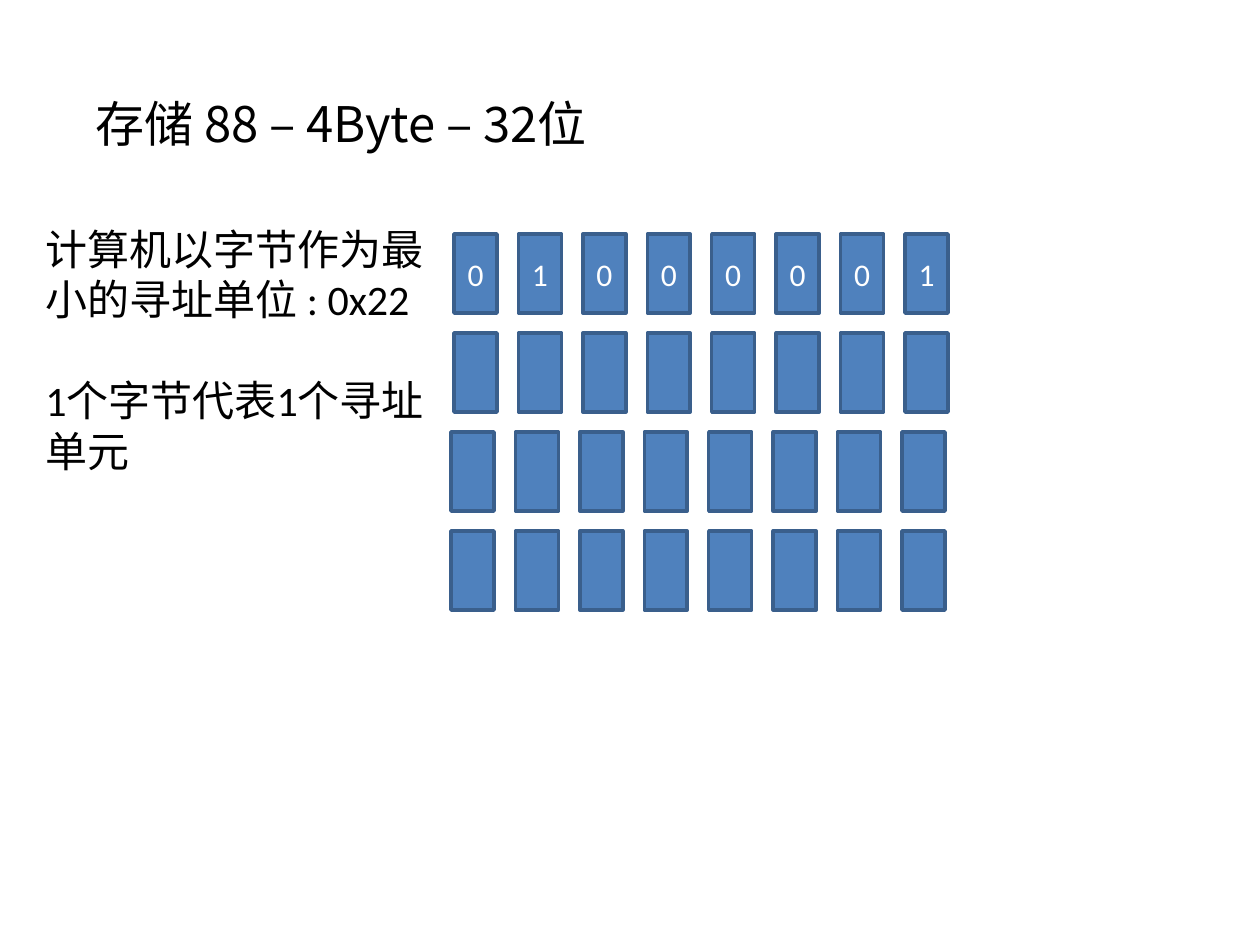
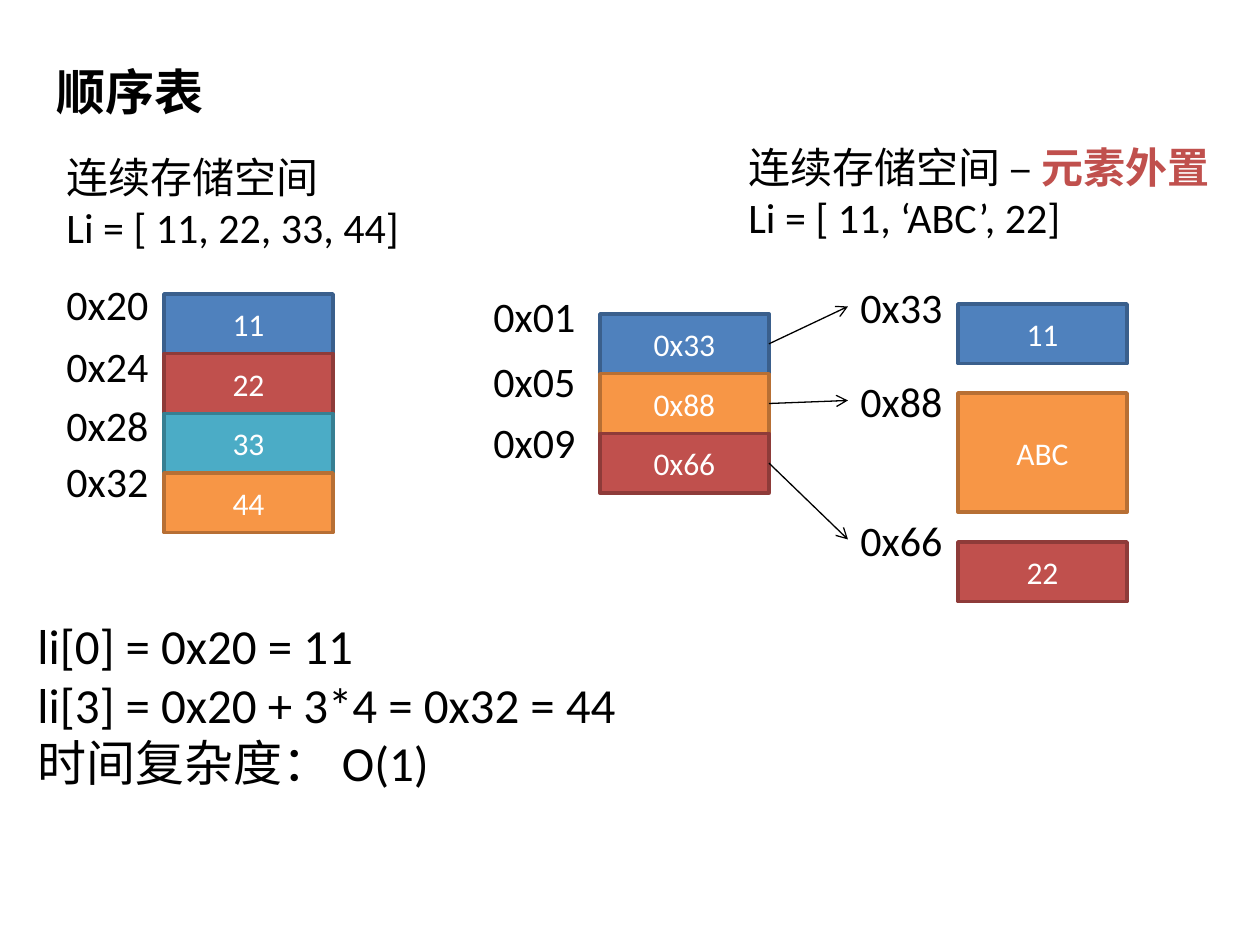
"""Build two slides on byte addressing and sequential lists."""
from dataclasses import dataclass

from lxml import etree
from pptx import Presentation
from pptx import util as u
from pptx.dml.color import RGBColor
from pptx.enum import shapes, text
from pptx.oxml import ns


@dataclass(frozen=True)
class Theme:
    latin: str = "Calibri"
    cjk: str = "Noto Sans CJK SC"
    ink: str = "000000"
    paper: str = "FFFFFF"
    blue: tuple = ("4F81BD", "3A5F8C")
    red: tuple = ("C0504D", "8E3B39")
    teal: tuple = ("4BACC6", "377F92")
    orange: tuple = ("F79646", "B76F34")
    title: int = 28
    body: int = 24
    cell: int = 18
    border: float = 2
    arrow: float = 0.75


T = Theme()
PX = u.Inches(1) / 126
SLIDE = (1260, 945)

BYTE_TITLE = ("存储 88 – 4Byte – 32位", (83, 87, 543, 72))
BYTE_NOTES = (["计算机以字节作为最小的寻址单位 : 0x22", "1个字节代表1个寻址单元"],
              (33, 217, 421, 267))
BITS = ["01000001", "", "", ""]
BIT_LEFTS = [454, 454, 451, 451]
BIT_TOP, BIT_PITCH, BIT_SPAN, BIT_SIZE = 234, 99, 451, (43, 79)

LIST_TITLE = ("顺序表", (44, 55, 174, 72))
LIST_HEADS = [
    (["连续存储空间", "Li = [ 11, 22, 33, 44]"], (54, 145, 360, 115)),
    ([[("连续存储空间 – ", {}), ("元素外置", {"color": T.red[0], "bold": True})],
      "Li = [ 11, ‘ABC’, 22]"], (736, 135, 490, 115)),
]
LIST_NOTES = (["li[0] = 0x20 = 11", "li[3] = 0x20 + 3*4 = 0x32 = 44",
               "时间复杂度： O(1)"], (25, 609, 612, 190))

CELL_W, CELL_H = 169, 179 / 3
LABEL_SIZE = (108, 63)
INLINE = {"left": 164, "top": 294, "label_left": 54, "cells": [
    ("0x20", 272, "11", T.blue), ("0x24", 334, "22", T.red),
    ("0x28", 393, "33", T.teal), ("0x32", 449, "44", T.orange)]}
POINTERS = {"left": 600, "top": 314, "label_left": 481, "cells": [
    ("0x01", 284, "0x33", T.blue), ("0x05", 349, "0x88", T.orange),
    ("0x09", 410, "0x66", T.red)]}
TARGET_LEFT, TARGET_LABEL_LEFT = 958, 848
TARGETS = [("0x33", 275, "11", T.blue, 304, 1),
           ("0x88", 369, "ABC", T.orange, 393, 2),
           ("0x66", 508, "22", T.red, 542, 1)]


def emu(*lengths):
    return [round(n * PX) for n in lengths]


def rgb(value):
    return RGBColor.from_string(value)


def write(tf, content, size=T.body, color=T.ink, bold=False, latin=T.latin,
          align=text.PP_ALIGN.LEFT, gap=0):
    paragraphs = content if isinstance(content, list) else [content]
    for i, line in enumerate(paragraphs):
        p = tf.add_paragraph() if i else tf.paragraphs[0]
        p.alignment = align
        if i and gap:
            p.space_before = u.Pt(gap)
        for words, own in [(line, {})] if isinstance(line, str) else line:
            r = p.add_run()
            r.text = words
            r.font.size, r.font.name = u.Pt(size), latin
            r.font.bold = own.get("bold", bold)
            r.font.color.rgb = rgb(own.get("color", color))
            ea = etree.SubElement(r.font._element, ns.qn("a:ea"))
            ea.set("typeface", T.cjk)


def add_text(s, content, box, wrap=False, **fmt):
    tf = s.shapes.add_textbox(*emu(*box)).text_frame
    tf.word_wrap = wrap
    tf.auto_size = text.MSO_AUTO_SIZE.SHAPE_TO_FIT_TEXT
    write(tf, content, **fmt)


def add_cell(s, label, box, colors):
    sp = s.shapes.add_shape(shapes.MSO_SHAPE.RECTANGLE, *emu(*box))
    sp.shadow.inherit = False
    sp.fill.solid()
    sp.fill.fore_color.rgb = rgb(colors[0])
    sp.line.color.rgb = rgb(colors[1])
    sp.line.width = u.Pt(T.border)
    if label:
        sp.text_frame.vertical_anchor = text.MSO_ANCHOR.MIDDLE
        write(sp.text_frame, label, size=T.cell, color=T.paper,
              align=text.PP_ALIGN.CENTER)


def add_arrow(s, start, end):
    cx = s.shapes.add_connector(shapes.MSO_CONNECTOR.STRAIGHT, *emu(*start, *end))
    cx.line.color.rgb = rgb(T.ink)
    cx.line.width = u.Pt(T.arrow)
    tail = etree.SubElement(cx.line._get_or_add_ln(), ns.qn("a:tailEnd"))
    tail.set("type", "arrow")
    etree.SubElement(cx._element.spPr, ns.qn("a:effectLst"))


def add_stack(s, left, top, label_left, cells):
    for i, (address, label_top, value, colors) in enumerate(cells):
        add_cell(s, value, (left, top + i * CELL_H, CELL_W, CELL_H), colors)
        add_text(s, address, (label_left, label_top, *LABEL_SIZE))


def build_bytes(s):
    add_text(s, *BYTE_TITLE, size=T.title, latin=T.cjk)
    for row, (bits, left) in enumerate(zip(BITS, BIT_LEFTS)):
        for col, bit in enumerate(bits or [""] * 8):
            x, y = left + BIT_SPAN * col / 7, BIT_TOP + BIT_PITCH * row
            add_cell(s, bit, (x, y, *BIT_SIZE), T.blue)
    add_text(s, *BYTE_NOTES, wrap=True, gap=29)


def build_list(s):
    add_text(s, *LIST_TITLE, size=T.title, bold=True)
    for head in LIST_HEADS:
        add_text(s, *head)
    add_stack(s, **INLINE)
    add_text(s, *LIST_NOTES, size=T.title)
    add_stack(s, **POINTERS)
    for i, (address, label_top, value, colors, top, units) in enumerate(TARGETS):
        add_cell(s, value, (TARGET_LEFT, top, CELL_W, units * CELL_H), colors)
        add_text(s, address, (TARGET_LABEL_LEFT, label_top, *LABEL_SIZE))
        add_arrow(s, (POINTERS["left"] + CELL_W, POINTERS["top"] + (i + 0.5) * CELL_H),
                  (TARGET_LABEL_LEFT, label_top + LABEL_SIZE[1] / 2))


def main():
    prs = Presentation()
    prs.slide_width, prs.slide_height = emu(*SLIDE)
    for build in (build_bytes, build_list):
        build(prs.slides.add_slide(prs.slide_layouts[6]))
    prs.save("out.pptx")


if __name__ == "__main__":
    main()
